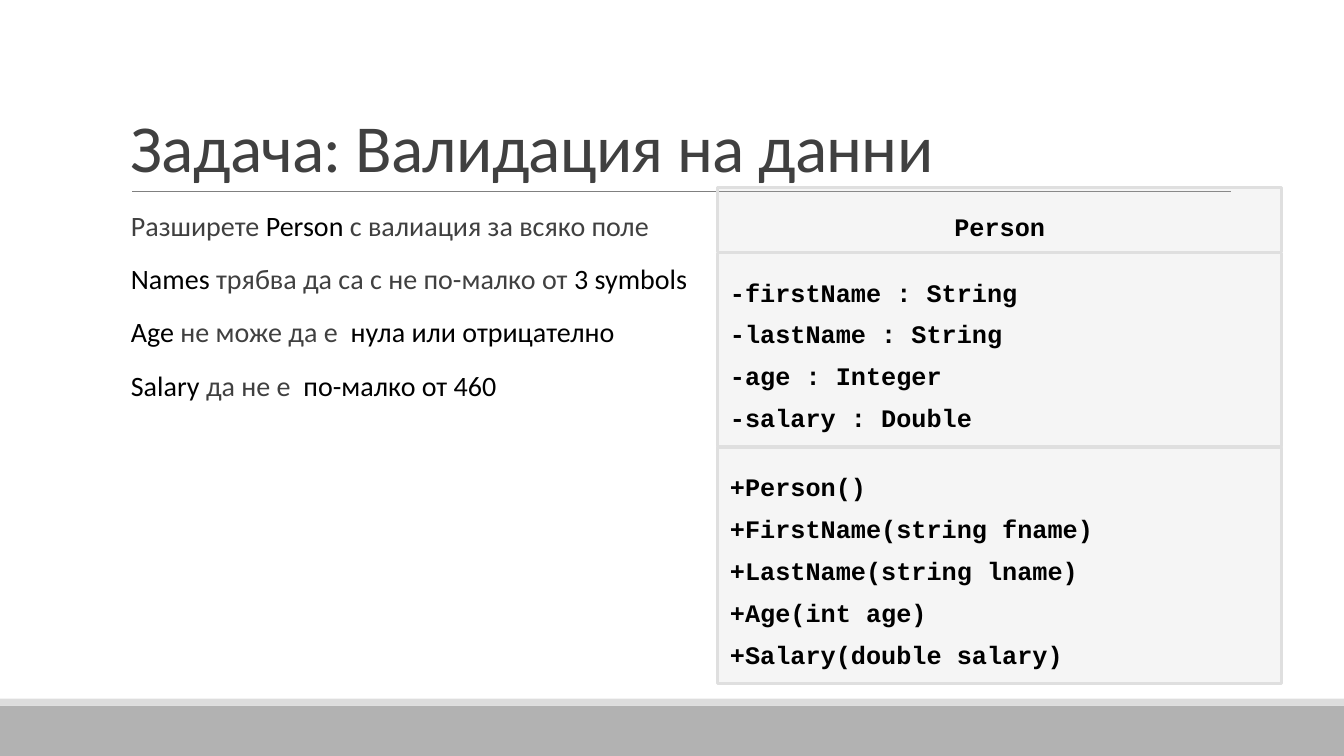
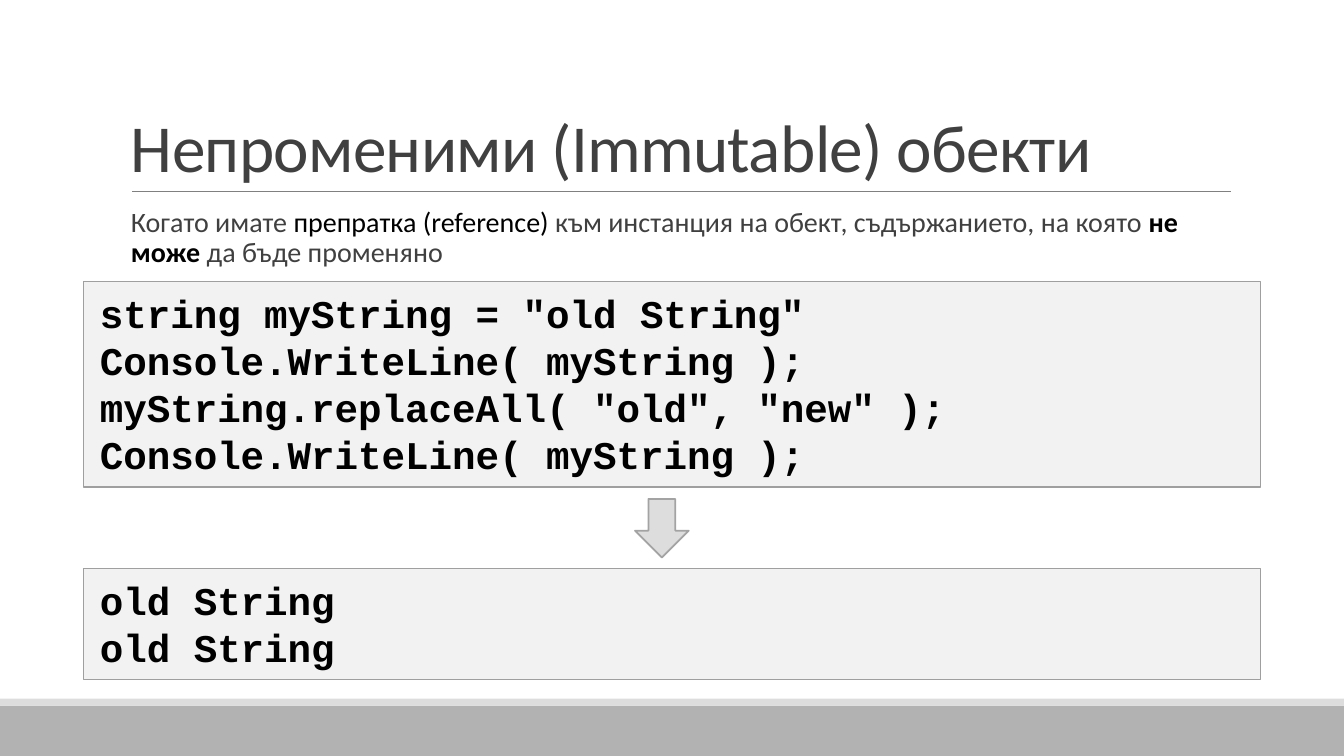
from dataclasses import dataclass

from lxml import etree
from pptx import Presentation
from pptx.dml.color import RGBColor
from pptx.enum.shapes import MSO_CONNECTOR, MSO_SHAPE
from pptx.enum.text import MSO_ANCHOR, PP_ALIGN
from pptx.oxml.ns import qn
from pptx.util import Inches, Pt

RECTANGLE = MSO_SHAPE.RECTANGLE
DOWN_ARROW = MSO_SHAPE.DOWN_ARROW
STRAIGHT = MSO_CONNECTOR.STRAIGHT
TOP, BOTTOM = MSO_ANCHOR.TOP, MSO_ANCHOR.BOTTOM
LEFT, CENTER = PP_ALIGN.LEFT, PP_ALIGN.CENTER

SLIDE_WIDTH, SLIDE_HEIGHT = Inches(13.33), Inches(7.5)
COLUMN, ROW = SLIDE_WIDTH / 100, SLIDE_HEIGHT / 100

TEXT_FONT, CODE_FONT = "Calibri", "Courier New"
BLACK, DARK, RULE = "000000", "404040", "808080"
BAND, ACCENT, PANEL = "B2B2B2", "DDDDDD", "BFBFBF"


@dataclass(frozen=True)
class Box:
    left: float
    top: float
    width: float
    height: float

    def lengths(self) -> tuple[int, int, int, int]:
        return (round(self.left * COLUMN), round(self.top * ROW),
                round(self.width * COLUMN), round(self.height * ROW))


@dataclass(frozen=True)
class Span:
    text: str
    color: str = DARK
    bold: bool = False


@dataclass(frozen=True)
class PanelStyle:
    opacity: int
    line_color: str
    line_width: float
    font_size: int
    margin_x: float
    margin_y: float
    line_spacing: Pt | None = None


@dataclass(frozen=True)
class Compartment:
    height: float
    lines: tuple[str, ...]
    align: PP_ALIGN = LEFT


TITLE_BOX = Box(9, 4.13, 82.5, 21.2)
BODY_BOX = Box(9, 26.93, 82.5, 58.67)
BANDS = ((Box(0, 93.33, 100, 6.67), BAND), (Box(0, 92.4, 100, 0.93), ACCENT))
RULE_START, RULE_END, RULE_TOP = 9.83, 91.6, 25.33

DIAGRAM_LEFT, DIAGRAM_TOP, DIAGRAM_WIDTH, DIAGRAM_GAP = 53.41, 24.8, 41.94, 0.13
DIAGRAM_STYLE = PanelStyle(15, "DFDFDF", 2, 18, 0.12, 0.12, Pt(30))
CODE_STYLE = PanelStyle(20, "9F9F9F", 1, 28, 0.16, 0.08)
CODE_LEFT, CODE_WIDTH = 6.23, 87.55

PERSON_CLASS = (
    Compartment(8.53, ("Person",), CENTER),
    Compartment(25.6, ("-firstName : String", "-lastName : String",
                       "-age : Integer", "-salary : Double")),
    Compartment(31.2, ("+Person()", "+FirstName(string fname)",
                       "+LastName(string lname)", "+Age(int age)",
                       "+Salary(double salary)")),
)
VALIDATION_RULES = (
    (Span("Разширете "), Span("Person ", BLACK), Span("с валиация за всяко поле")),
    (Span("Names ", BLACK), Span("трябва да са с не по-малко от "),
     Span("3 symbols", BLACK)),
    (Span("Age ", BLACK), Span("не може да е  "),
     Span("нула или отрицателно", BLACK)),
    (Span("Salary ", BLACK), Span("да не е  "), Span("по-малко от 460", BLACK)),
)
IMMUTABLE_DEFINITION = (
    (Span("Когато имате "), Span("препратка (reference) ", BLACK),
     Span("към инстанция на обект, съдържанието, на която "),
     Span("не може ", BLACK, True), Span("да бъде променяно")),
)
CODE_PANELS = (
    (Box(CODE_LEFT, 37.2, CODE_WIDTH, 27.2),
     ('string myString = "old String"', "Console.WriteLine( myString );",
      'myString.replaceAll( "old", "new" );', "Console.WriteLine( myString );")),
    (Box(CODE_LEFT, 75.2, CODE_WIDTH, 14.67), ("old String", "old String")),
)
RESULT_ARROW = Box(47.25, 66, 4, 7.75)


def rgb(color: str) -> RGBColor:
    return RGBColor.from_string(color)


def set_font(font, name: str, size: float, color: str, bold: bool = False) -> None:
    font.name, font.size, font.bold = name, Pt(size), bold
    font.color.rgb = rgb(color)


def set_margins(frame, x: float, y: float) -> None:
    frame.margin_left = frame.margin_right = Inches(x)
    frame.margin_top = frame.margin_bottom = Inches(y)


def paragraph_at(frame, index: int):
    return frame.add_paragraph() if index else frame.paragraphs[0]


def add_filled_shape(slide, kind: MSO_SHAPE, box: Box, fill: str,
                     line_color: str | None = None, line_width: float = 1):
    shape = slide.shapes.add_shape(kind, *box.lengths())
    shape.shadow.inherit = False
    shape.fill.solid()
    shape.fill.fore_color.rgb = rgb(fill)
    if line_color:
        shape.line.color.rgb = rgb(line_color)
        shape.line.width = Pt(line_width)
    else:
        shape.line.fill.background()
    return shape


def add_text_frame(slide, box: Box, anchor: MSO_ANCHOR):
    frame = slide.shapes.add_textbox(*box.lengths()).text_frame
    frame.word_wrap = True
    frame.vertical_anchor = anchor
    set_margins(frame, 0.1, 0.05)
    return frame


def add_titled_slide(presentation, title: str):
    slide = presentation.slides.add_slide(presentation.slide_layouts[6])
    for box, color in BANDS:
        add_filled_shape(slide, RECTANGLE, box, color)
    y = round(RULE_TOP * ROW)
    rule = slide.shapes.add_connector(
        STRAIGHT, round(RULE_START * COLUMN), y, round(RULE_END * COLUMN), y)
    rule.line.color.rgb = rgb(RULE)
    rule.line.width = Pt(0.5)
    etree.SubElement(rule._element.spPr, qn("a:effectLst"))

    paragraph = add_text_frame(slide, TITLE_BOX, BOTTOM).paragraphs[0]
    paragraph.text = title
    paragraph.line_spacing = 0.85
    set_font(paragraph.font, TEXT_FONT, 48, DARK)
    paragraph.font._element.set("spc", "-50")
    return slide


def add_body(slide, paragraphs: tuple[tuple[Span, ...], ...],
             line_spacing: float = 1.0) -> None:
    frame = add_text_frame(slide, BODY_BOX, TOP)
    for index, spans in enumerate(paragraphs):
        paragraph = paragraph_at(frame, index)
        paragraph.space_before, paragraph.space_after = Pt(12), Pt(2)
        paragraph.line_spacing = line_spacing
        for span in spans:
            run = paragraph.add_run()
            run.text = span.text
            set_font(run.font, TEXT_FONT, 20, span.color, span.bold)


def add_code_panel(slide, box: Box, lines: tuple[str, ...], style: PanelStyle,
                   align: PP_ALIGN = LEFT) -> None:
    panel = add_filled_shape(slide, RECTANGLE, box, PANEL,
                             style.line_color, style.line_width)
    color = panel._element.spPr.find(qn("a:solidFill"))[0]
    etree.SubElement(color, qn("a:alpha"), val=str(style.opacity * 1000))
    frame = panel.text_frame
    frame.word_wrap = True
    frame.vertical_anchor = TOP
    set_margins(frame, style.margin_x, style.margin_y)
    for index, line in enumerate(lines):
        paragraph = paragraph_at(frame, index)
        paragraph.text = line
        paragraph.alignment = align
        paragraph.line_spacing = style.line_spacing
        set_font(paragraph.font, CODE_FONT, style.font_size, BLACK, True)


def add_class_diagram(slide, compartments: tuple[Compartment, ...]) -> None:
    top = DIAGRAM_TOP
    for compartment in compartments:
        box = Box(DIAGRAM_LEFT, top, DIAGRAM_WIDTH, compartment.height)
        add_code_panel(slide, box, compartment.lines, DIAGRAM_STYLE,
                       compartment.align)
        top += compartment.height + DIAGRAM_GAP


def build_validation_slide(presentation) -> None:
    slide = add_titled_slide(presentation, "Задача: Валидация на данни")
    add_body(slide, VALIDATION_RULES)
    add_class_diagram(slide, PERSON_CLASS)


def build_immutable_slide(presentation) -> None:
    slide = add_titled_slide(presentation, "Непроменими (Immutable) обекти")
    add_body(slide, IMMUTABLE_DEFINITION, 0.9)
    for box, lines in CODE_PANELS:
        add_code_panel(slide, box, lines, CODE_STYLE)
    add_filled_shape(slide, DOWN_ARROW, RESULT_ARROW, ACCENT, "A3A3A3", 1.25)


def main() -> None:
    presentation = Presentation()
    presentation.slide_width = SLIDE_WIDTH
    presentation.slide_height = SLIDE_HEIGHT
    build_validation_slide(presentation)
    build_immutable_slide(presentation)
    presentation.save("out.pptx")


if __name__ == "__main__":
    main()
